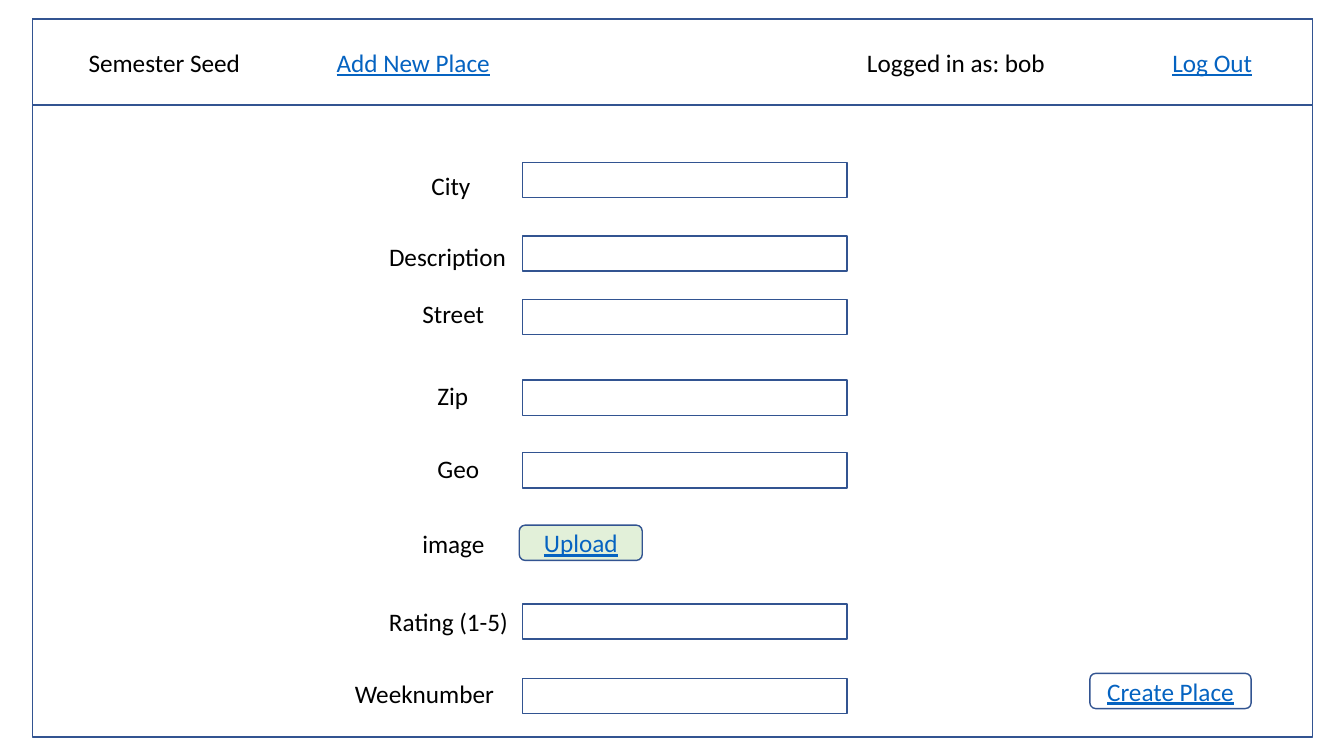
import pptx
import pptx.dml.color
import pptx.enum.shapes
import pptx.enum.text
import pptx.util

Inches = pptx.util.Inches
SHAPE = pptx.enum.shapes.MSO_SHAPE
COLORS = {"border": "325491", "paper": "FFFFFF", "text": "000000",
          "link": "0563C1", "upload": "E2F0D9"}


def add_box(kind, left, top, width, height, fill):
    """Add an outlined shape; a fill of None leaves it see-through."""
    box = slide.shapes.add_shape(
        kind, Inches(left), Inches(top), Inches(width), Inches(height))
    box.shadow.inherit = False
    if fill:
        box.fill.solid()
        box.fill.fore_color.rgb = pptx.dml.color.RGBColor.from_string(COLORS[fill])
    else:
        box.fill.background()
    box.line.color.rgb = pptx.dml.color.RGBColor.from_string(COLORS["border"])
    box.line.width = pptx.util.Pt(1)
    return box


def write(shape, text, color):
    """Write one 18 pt run; link-coloured text is underlined."""
    shape.text_frame.word_wrap = True
    run = shape.text_frame.paragraphs[0].add_run()
    run.text = text
    run.font.name = "Calibri"
    run.font.size = pptx.util.Pt(18)
    run.font.color.rgb = pptx.dml.color.RGBColor.from_string(COLORS[color])
    if color == "link":
        run.font.underline = True


presentation = pptx.Presentation()
presentation.slide_width = Inches(13.33)
presentation.slide_height = Inches(7.5)
slide = presentation.slides.add_slide(presentation.slide_layouts[6])

# Page frame and header bar
for frame_height in (7.12, 0.85):
    add_box(SHAPE.RECTANGLE, 0.32, 0.19, 12.7, frame_height, "paper")

# Input fields
for field_top in (1.61, 2.34, 2.97, 3.77, 4.49, 5.99, 6.73):
    add_box(SHAPE.RECTANGLE, 5.18, field_top, 3.22, 0.35, "paper")

# Header entries and field labels: text, left, top, width, colour
HEADER_TOP = 0.42
labels = [
    ("Semester Seed", 0.78, HEADER_TOP, 2.49, "text"),
    ("Add New Place", 3.24, HEADER_TOP, 2.69, "link"),
    ("Logged in as: bob", 8.5, HEADER_TOP, 2.69, "text"),
    ("Log Out", 11.53, HEADER_TOP, 1.14, "link"),
    ("City", 4.18, 1.64, 1.75, "text"),
    ("Description", 3.76, 2.34, 1.49, "text"),
    ("Street", 4.09, 2.91, 2.91, "text"),
    ("Zip", 4.24, 3.72, 1.36, "text"),
    ("Geo", 4.24, 4.45, 0.96, "text"),
    ("image", 4.09, 5.19, 1.3, "text"),
    ("Rating (1-5)", 3.76, 5.97, 1.66, "text"),
    ("Weeknumber", 3.42, 6.68, 1.65, "text"),
]
for text, left, top, width, color in labels:
    label = slide.shapes.add_textbox(
        Inches(left), Inches(top), Inches(width), Inches(0.4))
    label.text_frame.auto_size = pptx.enum.text.MSO_AUTO_SIZE.SHAPE_TO_FIT_TEXT
    write(label, text, color)

# Buttons
for text, left, top, width, fill in [
    ("Upload", 5.15, 5.21, 1.22, "upload"),
    ("Create Place", 10.81, 6.68, 1.6, None),
]:
    button = add_box(SHAPE.ROUNDED_RECTANGLE, left, top, width, 0.35, fill)
    button.text_frame.vertical_anchor = pptx.enum.text.MSO_ANCHOR.MIDDLE
    button.text_frame.paragraphs[0].alignment = pptx.enum.text.PP_ALIGN.CENTER
    write(button, text, "link")

presentation.save("out.pptx")
